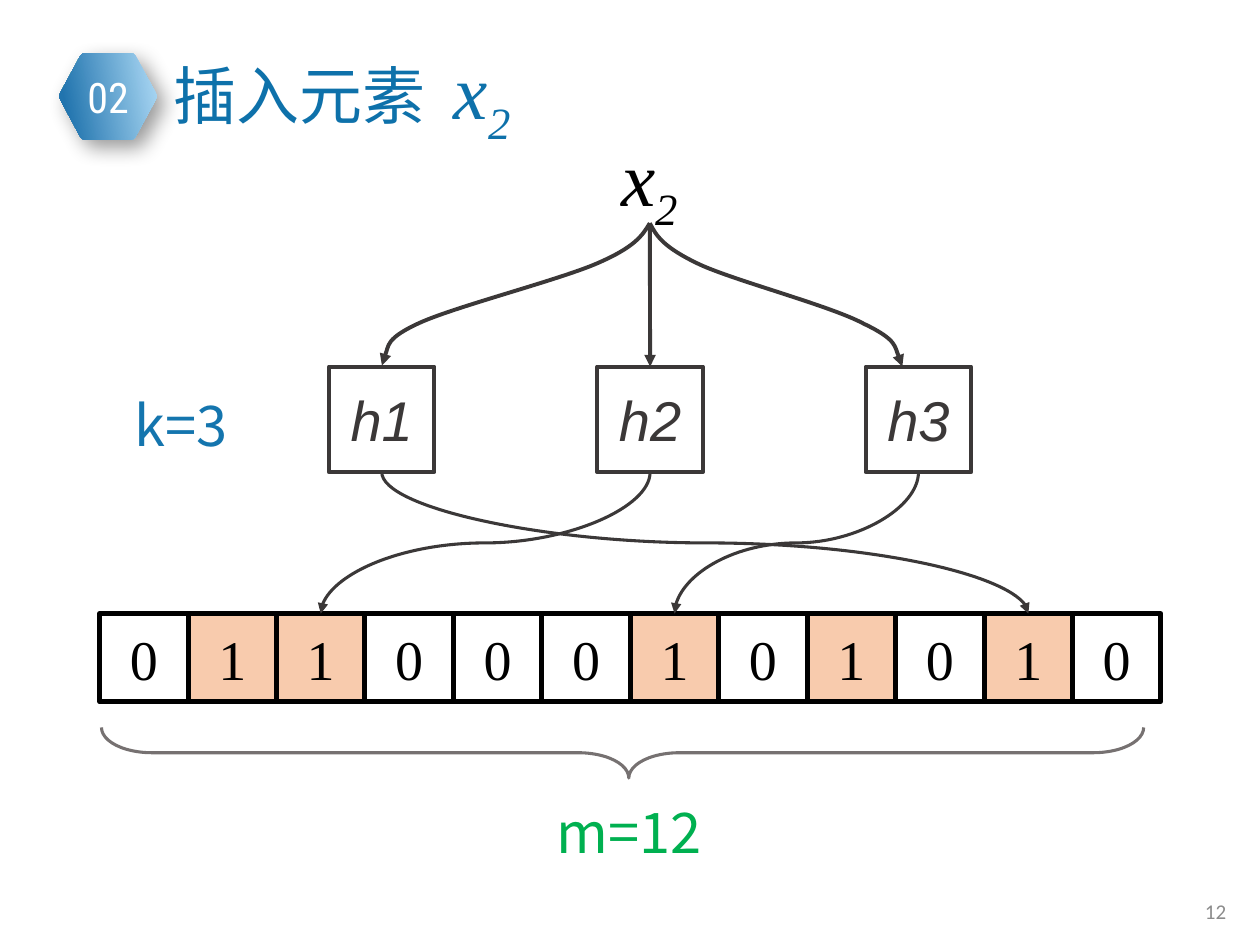
"""Build the slide on inserting x2 into a Bloom filter with three hashes."""
from lxml import etree
from pptx import Presentation
from pptx import util as u
from pptx.dml.color import RGBColor
from pptx.enum import shapes as sh, text as tx
from pptx.oxml.ns import qn

Cm, Pt = u.Cm, u.Pt
DARK = "3B3838"
SERIF, SANS = "Times New Roman", "Noto Sans CJK SC"


def ink(code):
    """Return the colour for a hex string."""
    return RGBColor.from_string(code)


def bend(pts, close=False):
    """Draw a chain of cubic curves through triples of points in cm."""
    spots = [(Cm(x), Cm(y)) for x, y in pts]
    pen = items.build_freeform(*spots[0])
    pen.add_line_segments(spots[1:], close=close)
    shape = pen.convert_to_shape()
    legs = list(shape._element.iter(qn("a:lnTo")))
    for one, two, end in zip(legs[::3], legs[1::3], legs[2::3]):
        one.tag = qn("a:cubicBezTo")
        for leg in (two, end):
            one.append(leg[0])
            leg.getparent().remove(leg)
    shape.shadow.inherit = False
    return shape


deck = Presentation()
deck.slide_width, deck.slide_height = Cm(25.4), Cm(19.05)
slide = deck.slides.add_slide(deck.slide_layouts[5])
items = slide.shapes

# Badge
hexa = [(1.18, 1.94), (1.65, 1.07), (2.7, 1.07),
        (3.18, 1.94), (2.7, 2.82), (1.65, 2.82)]
rim = []
for i, (x, y) in enumerate(hexa):
    (px, py), (nx, ny) = hexa[i - 1], hexa[(i + 1) % 6]
    into = (x + 0.15 * (px - x), y + 0.15 * (py - y))
    out = (x + 0.15 * (nx - x), y + 0.15 * (ny - y))
    rim += [into, into, into, (x, y), (x, y), out]
badge = bend([rim[-1]] + rim, close=True)
badge.line.fill.background()
badge.fill.gradient()
badge.fill.gradient_angle = 190
for stop, (place, code) in zip(badge.fill.gradient_stops,
                               [(0, "AFDBF6"), (0.9, "2174AE")]):
    stop.position, stop.color.rgb = place, ink(code)
glow = etree.SubElement(
    badge._element.spPr.find(qn("a:effectLst")), qn("a:outerShdw"),
    blurRad=str(Pt(12)), dist=str(Pt(6)), dir="2700000", algn="tl", rotWithShape="0")
black = etree.SubElement(glow, qn("a:srgbClr"), val="000000")
etree.SubElement(black, qn("a:alpha"), val="40000")

# Labels
LEFT, MID, RIGHT = tx.PP_ALIGN.LEFT, tx.PP_ALIGN.CENTER, tx.PP_ALIGN.RIGHT
labels = [
    ("02", (0.91, 1.32, 2.54, 1.27), 24, "Roboto Condensed", "FFFFFF", MID),
    ("12", (19.25, 17.98, 5.72, 1.02), 12, "Calibri", "8C8C8C", RIGHT),
    ("m=12", (10.97, 15.95, 11.33, 1.63), 32, SANS, "00B050", LEFT),
    ("k=3", (2.46, 7.75, 3.99, 1.63), 32, SANS, "1475AE", LEFT),
    ("", (12.27, 2.49, 8.48, 2.13), 44, SERIF, "000000", LEFT),
]
for words, spot, size, face, code, side in labels:
    box = items.add_textbox(*map(Cm, spot))
    box.text_frame.word_wrap = True
    para = box.text_frame.paragraphs[0]
    para.text, para.alignment = words, side
    para.font.size, para.font.name = Pt(size), face
    para.font.color.rgb = ink(code)

# Title
title = items.title
title.left, title.top, title.width, title.height = map(Cm, (3.25, 0.74, 8.48, 2.13))
title.text_frame.auto_size = tx.MSO_AUTO_SIZE.NONE
title.text_frame.vertical_anchor = tx.MSO_ANCHOR.TOP
head = title.text_frame.paragraphs[0]
head.alignment = LEFT
head.font.color.rgb = ink("0E71AA")
for words, gap in (("插入元素", 0), (" ", 800)):
    run = head.add_run()
    run.text = words
    run.font.size, run.font.name = Pt(36), "Calibri"
    run._r.get_or_add_rPr().set("spc", str(gap))
for line in (head, para):
    for words, base in (("x", 0), ("2", -25000)):
        run = line.add_run()
        run.text = words
        run.font.size, run.font.name, run.font.italic = Pt(44), SERIF, True
        run._r.get_or_add_rPr().set("baseline", str(base))

# Bit cells and hash boxes
bits = "011000101010"
specs = [(bit, 2.01 + 1.783 * i, 12.37, 1.78, 2.75, "000000", SERIF)
         for i, bit in enumerate(bits)]
specs += [(f"h{i + 1}", 6.63 + 5.41 * i, 7.39, 2.13, 2.25, DARK, "Arial")
          for i in range(3)]
boxes = []
for words, x, y, side, width, code, face in specs:
    box = items.add_shape(sh.MSO_SHAPE.RECTANGLE, Cm(x), Cm(y), Cm(side), Cm(side))
    box.shadow.inherit = False
    box.line.width, box.line.color.rgb = Pt(width), ink(code)
    if words == "1":
        box.fill.solid()
        box.fill.fore_color.rgb = ink("F8CBAD")
    else:
        box.fill.background()
    box.text_frame.vertical_anchor = tx.MSO_ANCHOR.MIDDLE
    para = box.text_frame.paragraphs[0]
    para.text, para.alignment = words, MID
    para.font.size, para.font.name = Pt(32), face
    para.font.italic = face == "Arial"
    para.font.color.rgb = ink(code)
    boxes.append(box)
cells, hashes = boxes[:12], boxes[12:]

# Brace
brace = items.add_shape(sh.MSO_SHAPE.RIGHT_BRACE, Cm(12.04), Cm(4.67), Cm(1.02), Cm(21.01))
brace.rotation = 90
brace.adjustments[0], brace.adjustments[1] = 0.997, 0.494
brace.shadow.inherit = False
brace.fill.background()
brace.line.width, brace.line.color.rgb = Pt(1.75), ink("767171")

# Arrows
root = (13.1, 4.5)
west = [root, (12.95, 4.75), (12.8, 4.98), (12.04, 5.31), (11.28, 5.64),
        (9.22, 6.17), (8.48, 6.5), (7.75, 6.83), (7.7, 7.37), (7.7, 7.37)]
east = [root, (13.23, 4.75), (13.36, 4.98), (14.1, 5.33), (14.81, 5.66),
        (16.76, 6.17), (17.42, 6.53), (18.11, 6.86), (18.19, 7.39), (18.19, 7.39)]
arrows = []
for pts in (west, east):
    arc = bend(pts)
    arc.fill.background()
    arrows.append((arc, 2.25))
stem = items.add_connector(sh.MSO_CONNECTOR.STRAIGHT, Cm(13.1), Cm(4.5), Cm(13.1), Cm(7.39))
stem.end_connect(hashes[1], 0)
arrows.append((stem, 2.25))
for box, goal in zip(hashes, (10, 2, 6)):
    cell = cells[goal]
    x1, y1 = box.left + box.width // 2, box.top + box.height
    x2, y2 = cell.left + cell.width // 2, cell.top
    mx, my = (x1 + x2) // 2, (y1 + y2) // 2
    dx, dy = abs(x2 - x1) // 2, (y2 - y1) // 2
    way = 1 if x2 > x1 else -1
    link = items.add_connector(sh.MSO_CONNECTOR.CURVE,
                               mx + way * dy, my - dx, mx - way * dy, my + dx)
    link._element.spPr.find(qn("a:xfrm")).set("rot", str((180 + 90 * way) * 60000))
    arrows.append((link, 1.75))
for arrow, width in arrows:
    arrow.line.width, arrow.line.color.rgb = Pt(width), ink(DARK)
    etree.SubElement(arrow.line._get_or_add_ln(), qn("a:tailEnd"), type="triangle")
    props = arrow._element.spPr
    if props.find(qn("a:effectLst")) is None:
        etree.SubElement(props, qn("a:effectLst"))

deck.save("out.pptx")
